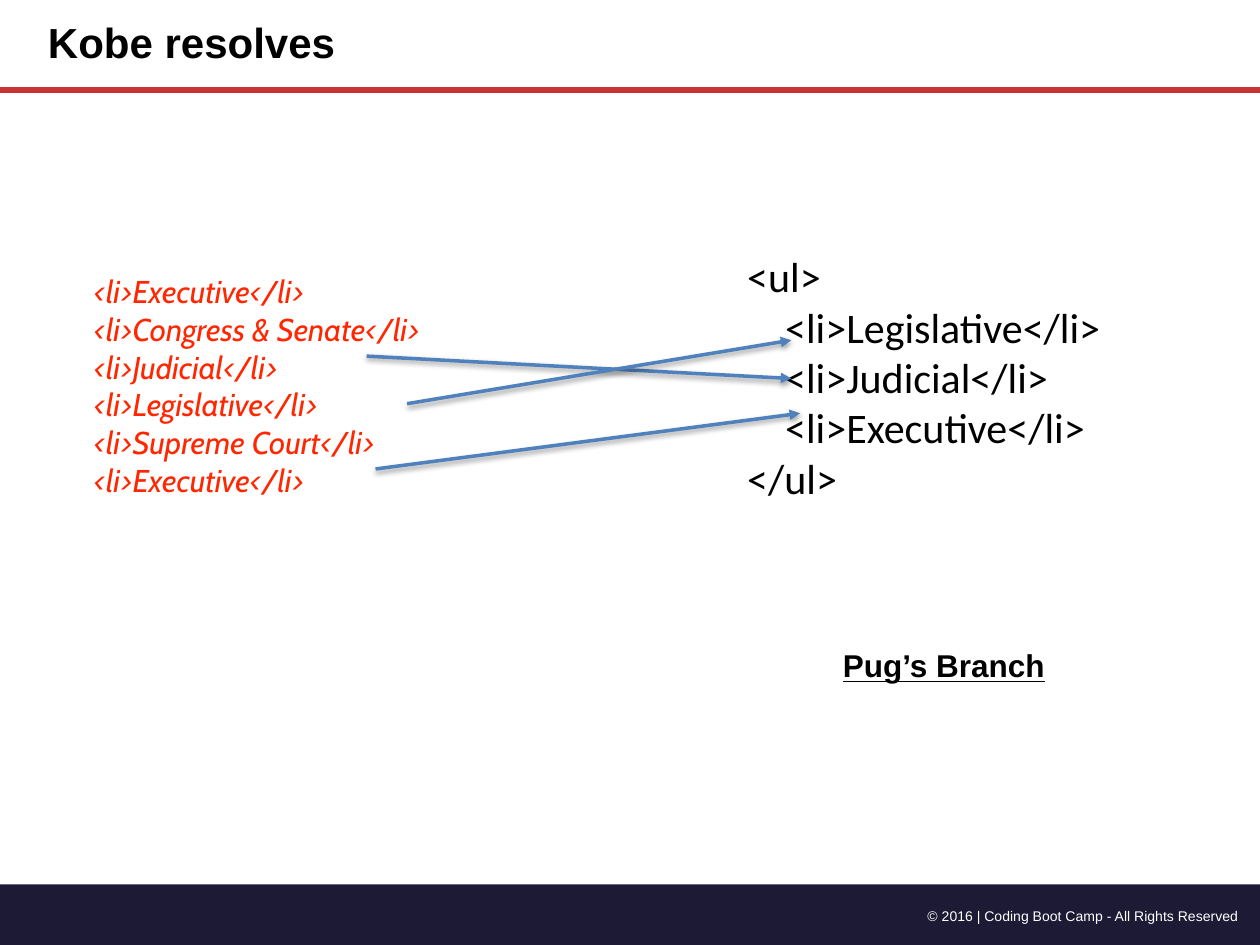
from lxml import etree
from pptx import Presentation
from pptx.dml.color import RGBColor
from pptx.enum.shapes import MSO_CONNECTOR, MSO_SHAPE
from pptx.enum.text import MSO_ANCHOR, PP_ALIGN
from pptx.oxml import parse_xml
from pptx.oxml.ns import nsdecls, qn
from pptx.util import Pt


def color(hex_string):
    return RGBColor.from_string(hex_string)


def add_text(box, lines, font, size, ink="000000", bold=False, italic=False, underline=False):
    left, top, width, height = box
    frame = slide.shapes.add_textbox(Pt(left), Pt(top), Pt(width), Pt(height)).text_frame
    frame.word_wrap = True
    frame.margin_left = frame.margin_right = Pt(3.6)
    frame.margin_top = frame.margin_bottom = Pt(3.6)
    for index, line in enumerate(lines):
        paragraph = frame.add_paragraph() if index else frame.paragraphs[0]
        run = paragraph.add_run()
        run.text = line
        run.font.name = font
        run.font.size = Pt(size)
        run.font.bold = bold
        run.font.italic = italic
        run.font.underline = underline
        run.font.color.rgb = color(ink)
    return frame


presentation = Presentation()
presentation.slide_width = Pt(720)
presentation.slide_height = Pt(540)
slide = presentation.slides.add_slide(presentation.slide_layouts[6])

footer = slide.shapes.add_shape(MSO_SHAPE.RECTANGLE, Pt(0), Pt(505.4), Pt(720.7), Pt(36))
footer.shadow.inherit = False
footer.fill.solid()
footer.fill.fore_color.rgb = color("1D1A36")
footer.line.fill.background()

copyright_line = add_text((491.8, 514.8, 219.6, 15.8),
                          ["© 2016 | Coding Boot Camp - All Rights Reserved"], "Arial", 8, "FFFFFF")
copyright_line.paragraphs[0].alignment = PP_ALIGN.RIGHT

title_rule = slide.shapes.add_connector(MSO_CONNECTOR.STRAIGHT, Pt(0), Pt(51.5), Pt(720), Pt(51.5))
title_rule.line.color.rgb = color("C83232")
title_rule.line.width = Pt(3.25)
etree.SubElement(title_rule._element.spPr, qn("a:effectLst"))

title = add_text((23.8, 0, 430.6, 51.8), ["Kobe resolves"], "Arial", 24, bold=True)
title.vertical_anchor = MSO_ANCHOR.MIDDLE
title.paragraphs[0].line_spacing = 0.9

resolved = ["Legislative", "Judicial", "Executive"]
resolved_code = ["<ul>"] + [f"    <li>{branch}</li>" for branch in resolved] + ["</ul>"]
add_text((423.4, 139.7, 242.6, 146.9), resolved_code, "Calibri", 24)

conflicting = ["Executive", "Congress & Senate", "Judicial",
               "Legislative", "Supreme Court", "Executive"]
conflicting_code = [f"    <li>{branch}</li>" for branch in conflicting]
add_text((33.8, 151.9, 301, 133.2), conflicting_code, "Cabin", 18, "FF2600", italic=True)

matches = [
    (209.5, 203.5, 452.2, 216.3),
    (214.6, 268, 457.2, 236.2),
    (232.6, 230.7, 452.2, 194.4),
]
for start_x, start_y, end_x, end_y in matches:
    arrow = slide.shapes.add_connector(MSO_CONNECTOR.STRAIGHT,
                                       Pt(start_x), Pt(start_y), Pt(end_x), Pt(end_y))
    arrow.line.color.rgb = color("4F81BD")
    arrow.line.width = Pt(2)
    etree.SubElement(arrow.line._get_or_add_ln(), qn("a:tailEnd"), type="triangle")
    arrow._element.spPr.append(parse_xml(
        f'<a:effectLst {nsdecls("a")}>'
        f'<a:outerShdw blurRad="{Pt(3)}" dist="{Pt(1.6)}" dir="5400000" rotWithShape="0">'
        '<a:srgbClr val="000000"><a:alpha val="38000"/></a:srgbClr>'
        '</a:outerShdw></a:effectLst>'))

add_text((478.1, 365.8, 134.6, 27.4), ["Pug’s Branch"], "Arial", 18, bold=True, underline=True)

presentation.save("out.pptx")
